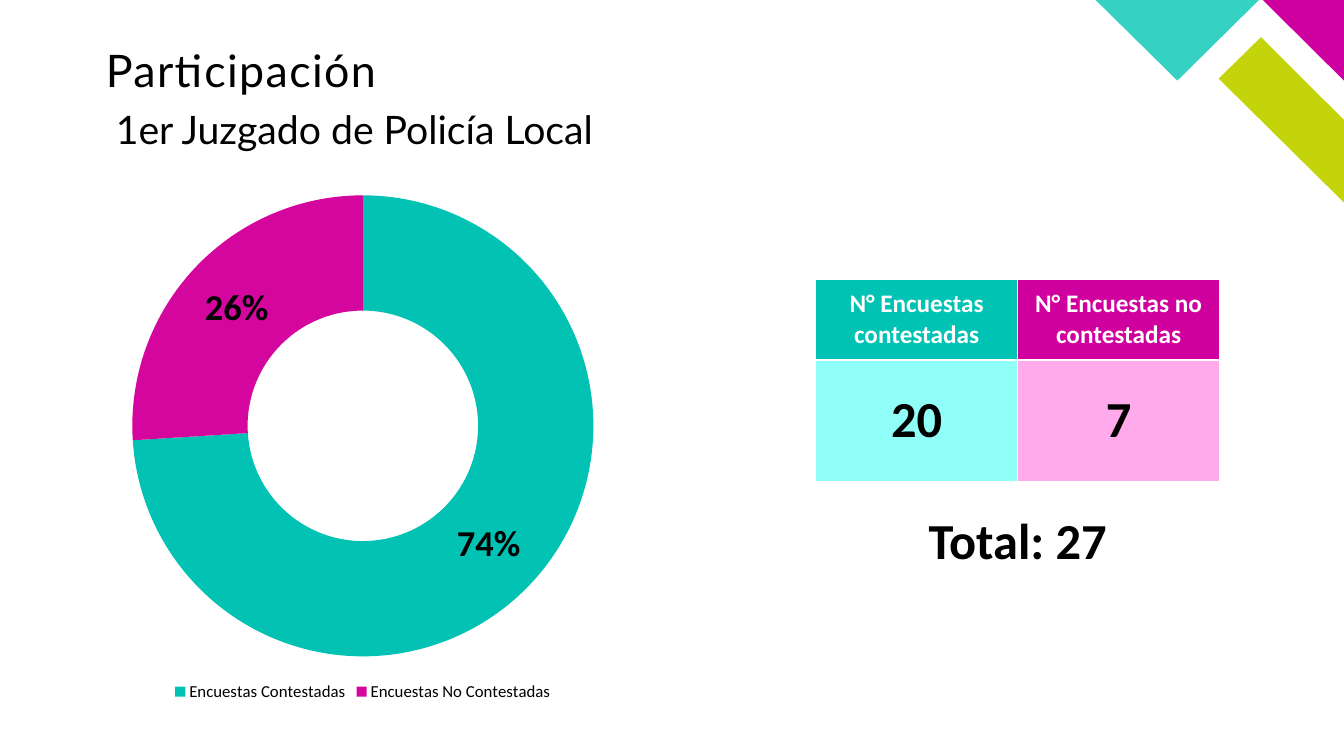
from lxml import etree
from pptx import Presentation
from pptx.chart.data import CategoryChartData
from pptx.dml.color import RGBColor
from pptx.enum import chart as charts, text
from pptx.oxml.ns import qn
from pptx.util import Pt

COLORS = {
    "black": "000000", "white": "FFFFFF", "lime": "C4D40A",
    "magenta": "CE009F", "aqua": "35D2C4",
    "answered_head": "00C3B3", "unanswered_head": "D0009E",
    "answered_cell": "8FFFF7", "unanswered_cell": "FFABEB",
    "answered_slice": "01C2B3", "unanswered_slice": "D4069D",
}


class SurveySlide:
    heading_font = "Lato"
    data_font = "Calibri"

    def __init__(self, deck):
        self.slide = deck.slides.add_slide(deck.slide_layouts[4])
        self.shapes = self.slide.shapes

    def paint(self, fill, color):
        fill.solid()
        fill.fore_color.rgb = RGBColor.from_string(COLORS[color])

    def style(self, font, name, size, color="black", bold=False):
        font.name, font.size, font.bold = name, Pt(size), bold
        font.color.rgb = RGBColor.from_string(COLORS[color])

    def send_to_back(self, shape):
        self.shapes._spTree.insert(2, shape._element)

    def placeholder(self, index, box, words, size, figure=False, inset=(7.2, 3.6), tracking=0):
        holder = self.slide.placeholders[index]
        holder.left, holder.top, holder.width, holder.height = map(Pt, box)
        frame = holder.text_frame
        frame.text = words
        frame.word_wrap = True
        frame.auto_size = text.MSO_AUTO_SIZE.NONE
        frame.vertical_anchor = text.MSO_ANCHOR.MIDDLE if figure else text.MSO_ANCHOR.TOP
        frame.margin_left = frame.margin_right = Pt(inset[0])
        frame.margin_top = frame.margin_bottom = Pt(inset[1])
        line = frame.paragraphs[0]
        properties = line._p.get_or_add_pPr()
        properties.set("marL", "0")
        properties.set("indent", "0")
        etree.SubElement(properties, qn("a:buNone"))
        line.alignment = text.PP_ALIGN.CENTER if figure else text.PP_ALIGN.LEFT
        line.line_spacing = 0.9
        line.space_before = Pt(0)
        self.style(line.font, self.data_font if figure else self.heading_font, size, bold=figure)
        if tracking:
            line.runs[0]._r.get_or_add_rPr().set("spc", str(tracking * 100))

    def polygon(self, points, color):
        start, *rest = [(Pt(x), Pt(y)) for x, y in points]
        builder = self.shapes.build_freeform(*start)
        builder.add_line_segments(rest, close=True)
        corner = builder.convert_to_shape()
        corner.shadow.inherit = False
        self.paint(corner.fill, color)
        corner.line.fill.background()
        self.send_to_back(corner)

    def table(self, box, row_heights, headings, head_colors, cell_colors):
        frame = self.shapes.add_table(2, len(headings), *map(Pt, box))
        counts = frame.table
        for row, height in zip(counts.rows, row_heights):
            row.height = Pt(height)
        for column, heading in enumerate(headings):
            head, body = counts.cell(0, column), counts.cell(1, column)
            self.paint(head.fill, head_colors[column])
            self.paint(body.fill, cell_colors[column])
            head.text = heading
            head.vertical_anchor = text.MSO_ANCHOR.MIDDLE
            line = head.text_frame.paragraphs[0]
            line.alignment = text.PP_ALIGN.CENTER
            self.style(line.font, self.data_font, 18, "white", True)
        self.send_to_back(frame)

    def doughnut(self, box, shares, slice_colors):
        data = CategoryChartData(number_format="0%")
        data.categories = list(shares)
        data.add_series("Series 1", list(shares.values()))
        ring = self.shapes.add_chart(charts.XL_CHART_TYPE.DOUGHNUT, *map(Pt, box), data).chart
        self.style(ring.font, self.data_font, 18)
        ring.has_title = False
        ring.has_legend = True
        ring.legend.position = charts.XL_LEGEND_POSITION.BOTTOM
        ring.legend.include_in_layout = False
        self.style(ring.legend.font, self.data_font, 12)
        plot = ring.plots[0]
        plot.vary_by_categories = True
        for index, color in enumerate(slice_colors):
            portion = plot.series[0].points[index].format
            self.paint(portion.fill, color)
            portion.line.fill.background()
        labels = plot.series[0].data_labels
        labels.show_value = True
        labels.show_percentage = False
        labels.number_format = "0%"
        labels.number_format_is_linked = False
        self.style(labels.font, self.data_font, 26, bold=True)


def main():
    deck = Presentation()
    deck.slide_width, deck.slide_height = Pt(960), Pt(540)
    survey = SurveySlide(deck)

    left, top, column, head, body = 582.6, 199.4, 144.3, 57.8, 87
    counts_top = top + head
    total_top = counts_top + body

    survey.placeholder(0, (75.6, 34.6, 404, 48), "Participación", 32, inset=(0, 0), tracking=1)
    survey.placeholder(1, (75.6, 75.6, 704, 69), "1er Juzgado de Policía Local", 28)
    for index, count in enumerate(("20", "7")):
        survey.placeholder(2 + index, (left + index * column, counts_top, column, body),
                           count, 36, figure=True)
    survey.placeholder(4, (left, total_top, 2 * column, body), "Total: 27", 36, figure=True)

    survey.table((left, top, 2 * column, head + body), (head, body),
                 ("N° Encuestas contestadas", "N° Encuestas no contestadas"),
                 ("answered_head", "unanswered_head"),
                 ("answered_cell", "unanswered_cell"))
    survey.polygon([(782.6, 0), (841, 57.6), (899.3, 0)], "aqua")
    survey.polygon([(902, 0), (960, 0), (960, 57.6)], "magenta")
    survey.polygon([(960, 144.7), (960, 85.7), (900.7, 26.6), (870.5, 56.2)], "lime")
    survey.doughnut((72, 129.6, 374.4, 374.4),
                    {"Encuestas Contestadas": 0.74, "Encuestas No Contestadas": 0.26},
                    ("answered_slice", "unanswered_slice"))

    deck.save("out.pptx")


if __name__ == "__main__":
    main()
